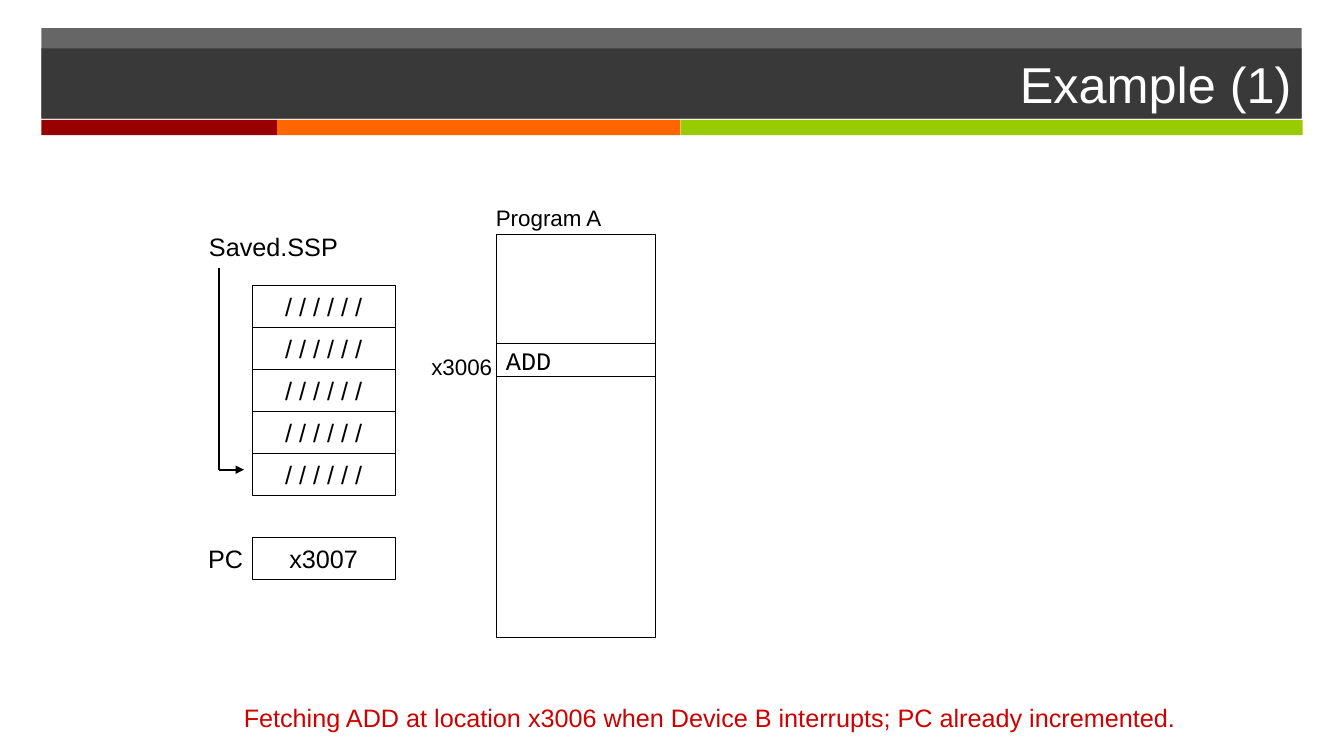
import pptx
import pptx.util
import pptx.dml.color
import pptx.enum.shapes
import pptx.enum.text
import pptx.oxml
import pptx.oxml.ns
from lxml import etree

Inches = pptx.util.Inches
RGBColor = pptx.dml.color.RGBColor
ALIGN = pptx.enum.text.PP_ALIGN
ANCHOR = pptx.enum.text.MSO_ANCHOR
AUTO_SIZE = pptx.enum.text.MSO_AUTO_SIZE

BLACK = RGBColor(0x00, 0x00, 0x00)
WHITE = RGBColor(0xFF, 0xFF, 0xFF)
CHARCOAL = RGBColor(0x26, 0x26, 0x26)
DARK_RED = RGBColor(0x99, 0x00, 0x00)
ORANGE = RGBColor(0xFF, 0x66, 0x00)
GREEN = RGBColor(0x99, 0xCC, 0x00)
CAPTION_RED = RGBColor(0xCE, 0x00, 0x00)

BANNER_LEFT, BANNER_WIDTH = 0.41, 12.5
STACK_LEFT, STACK_TOP = 2.5, 2.83
CELL_WIDTH, CELL_HEIGHT = 1.42, 0.417
STACK_DEPTH = 5
MEMORY_LEFT, MEMORY_WIDTH = 4.92, 1.58
POINTER_X, POINTER_TOP, POINTER_BOTTOM = 2.17, 2.66, 4.66


def set_attributes(target, values):
    for name, value in values.items():
        setattr(target, name, value)


def add_child(parent, tag, **attributes):
    return etree.SubElement(parent, pptx.oxml.ns.qn(tag), attributes)


def write_text(shape, text, size=18, font="Arial", color=BLACK,
               align=ALIGN.LEFT, anchor=ANCHOR.MIDDLE, wrap=False,
               auto_size=AUTO_SIZE.NONE):
    frame = shape.text_frame
    frame.text = text
    set_attributes(frame, {"word_wrap": wrap, "vertical_anchor": anchor,
                           "auto_size": auto_size})
    paragraph = frame.paragraphs[0]
    paragraph.alignment = align
    run_font = paragraph.runs[0].font
    set_attributes(run_font, {"name": font, "size": pptx.util.Pt(size)})
    run_font.color.rgb = color


def fill_solid(shape, color, opacity=100):
    shape.fill.solid()
    shape.fill.fore_color.rgb = color
    if opacity < 100:
        color_element = shape.fill._xPr.find(".//" + pptx.oxml.ns.qn("a:srgbClr"))
        add_child(color_element, "a:alpha", val=str(opacity * 1000))


def add_rectangle(slide, left, top, width, height):
    rectangle = slide.shapes.add_shape(
        pptx.enum.shapes.MSO_SHAPE.RECTANGLE,
        Inches(left), Inches(top), Inches(width), Inches(height))
    rectangle.shadow.inherit = False
    return rectangle


def add_band(slide, left, top, width, height, color, opacity=100):
    band = add_rectangle(slide, left, top, width, height)
    fill_solid(band, color, opacity)
    band.line.fill.background()


def add_cell(slide, left, top, width, height, text="", **text_format):
    cell = add_rectangle(slide, left, top, width, height)
    cell.fill.background()
    cell.line.color.rgb = BLACK
    cell.line.width = pptx.util.Pt(0.75)
    if text:
        write_text(cell, text, **text_format)


def add_label(slide, left, top, width, height, text, **text_format):
    label = slide.shapes.add_textbox(
        Inches(left), Inches(top), Inches(width), Inches(height))
    write_text(label, text, anchor=ANCHOR.TOP,
               auto_size=AUTO_SIZE.SHAPE_TO_FIT_TEXT, **text_format)


def add_line(slide, start, end, arrow=False):
    line = slide.shapes.add_connector(
        pptx.enum.shapes.MSO_CONNECTOR.STRAIGHT,
        *[Inches(value) for value in (*start, *end)])
    line.line.color.rgb = BLACK
    line.line.width = pptx.util.Pt(1.5)
    if arrow:
        add_child(line.line._get_or_add_ln(), "a:tailEnd", type="triangle")
    add_child(line._element.spPr, "a:effectLst")


def add_banner(slide):
    add_band(slide, BANNER_LEFT, 0.28, BANNER_WIDTH, 0.89, CHARCOAL, 70)
    left = BANNER_LEFT
    for width, color in ((2.34, DARK_RED), (4, ORANGE), (6.17, GREEN)):
        add_band(slide, left, 1.19, width, 0.15, color)
        left += width


def add_title(slide, text):
    title = slide.shapes.title
    set_attributes(title, {"left": Inches(BANNER_LEFT), "top": Inches(0.48),
                           "width": Inches(BANNER_WIDTH), "height": Inches(0.7)})
    fill_solid(title, CHARCOAL, 70)
    write_text(title, text, size=36, color=WHITE, align=ALIGN.RIGHT, wrap=True)
    # Bring the title in front of the banner
    slide.shapes._spTree.append(title._element)


def main():
    presentation = pptx.Presentation()
    set_attributes(presentation, {"slide_width": Inches(13.33),
                                  "slide_height": Inches(7.5)})
    slide = presentation.slides.add_slide(presentation.slide_layouts[5])

    add_banner(slide)
    add_title(slide, "Example (1)")

    # Supervisor stack
    for row in range(STACK_DEPTH):
        add_cell(slide, STACK_LEFT, STACK_TOP + row * CELL_HEIGHT,
                 CELL_WIDTH, CELL_HEIGHT, "/ / / / / /", align=ALIGN.CENTER)

    # Program counter
    add_cell(slide, STACK_LEFT, 5.33, CELL_WIDTH, CELL_HEIGHT, "x3007",
             align=ALIGN.CENTER)
    add_label(slide, 1.96, 5.34, 0.55, 0.4, "PC", align=ALIGN.RIGHT)

    # Saved stack pointer
    add_label(slide, 1.96, 2.25, 1.49, 0.4, "Saved.SSP", align=ALIGN.RIGHT)
    corner = (POINTER_X, POINTER_BOTTOM)
    add_line(slide, corner, (POINTER_X, POINTER_TOP))
    add_line(slide, corner, (2.42, POINTER_BOTTOM), arrow=True)

    # Program memory
    add_cell(slide, MEMORY_LEFT, 2.33, MEMORY_WIDTH, 4)
    add_cell(slide, MEMORY_LEFT, 3.41, MEMORY_WIDTH, 0.33, "ADD",
             font="Courier New")
    add_label(slide, 4.82, 1.98, 1.26, 0.37, "Program A", size=16)
    add_label(slide, 4.17, 3.45, 0.81, 0.37, "x3006", size=16, align=ALIGN.RIGHT)

    # Caption
    add_label(slide, 2.32, 6.92, 9.53, 0.4,
              "Fetching ADD at location x3006 when Device B interrupts; "
              "PC already incremented.", color=CAPTION_RED)

    presentation.save("out.pptx")


if __name__ == "__main__":
    main()
